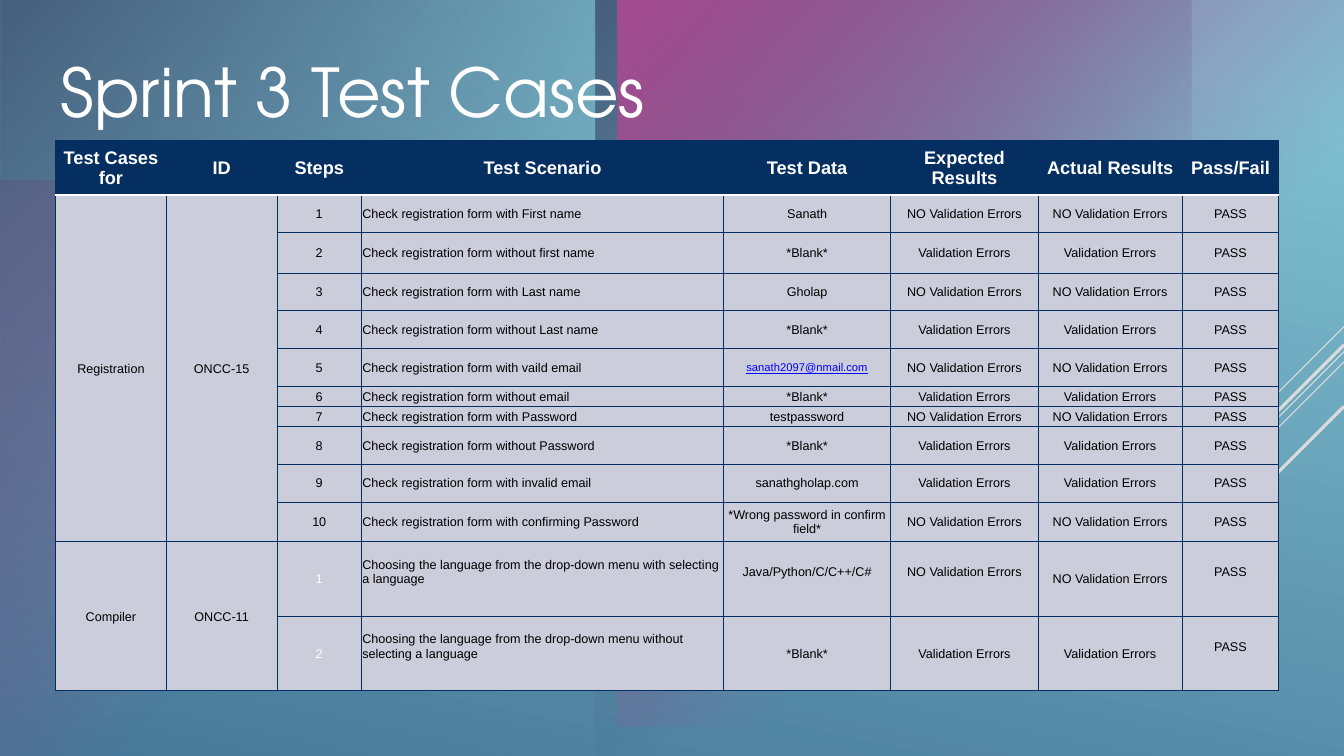
import lxml.etree
import pptx
import pptx.dml.color
import pptx.enum.shapes
import pptx.enum.text
import pptx.oxml
import pptx.oxml.ns
import pptx.util

Cm, Pt = pptx.util.Cm, pptx.util.Pt
SHAPE = pptx.enum.shapes.MSO_SHAPE
ALIGN = pptx.enum.text.PP_ALIGN
MIDDLE = pptx.enum.text.MSO_ANCHOR.MIDDLE
NS = pptx.oxml.ns.nsdecls("a")
WIDTH, HEIGHT = 33.87, 19.05
NAVY, PURPLE, TEAL, WHITE, BLACK = "052F61", "A50E82", "14967C", "FFFFFF", "000000"
BORDER, BODY, LINK = "032E61", "CBCDDB", "0000FF"
CORNER = '<a:path path="circle"><a:fillToRect r="100000" b="100000"/></a:path>'
EMAIL = "sanath2097@nmail.com"
HEADERS = ["Test Cases for", "ID", "Steps", "Test Scenario", "Test Data",
           "Expected Results", "Actual Results", "Pass/Fail"]
COLUMNS = [2.79, 2.79, 2.13, 9.12, 4.22, 3.71, 3.63, 2.44]
ROWS = [1.37, 0.95, 1.02, 0.94, 0.95, 0.95, 0.51, 0.51, 0.95, 0.95, 1, 1.88, 1.88]
ERRORS, NO_ERRORS = "Validation Errors", "NO Validation Errors"
REGISTRATION = [
    ("with First name", "Sanath", NO_ERRORS),
    ("without first name", "*Blank*", ERRORS),
    ("with Last name", "Gholap", NO_ERRORS),
    ("without Last name", "*Blank*", ERRORS),
    ("with vaild email", EMAIL, NO_ERRORS),
    ("without email", "*Blank*", ERRORS),
    ("with Password", "testpassword", NO_ERRORS),
    ("without Password", "*Blank*", ERRORS),
    ("with invalid email", "sanathgholap.com", ERRORS),
    ("with confirming Password", "*Wrong password in confirm field*", NO_ERRORS),
]
COMPILER = [
    ("with selecting a language", "Java/Python/C/C++/C#", NO_ERRORS),
    ("without selecting a language", "*Blank*", ERRORS),
]
GROUPS = [
    ("Registration", "ONCC-15", "Check registration form ", REGISTRATION),
    ("Compiler", "ONCC-11", "Choosing the language from the drop-down menu ", COMPILER),
]
RAISED = {(11, 3), (11, 4), (11, 5), (11, 7), (12, 3), (12, 7)}


def rgb(value):
    """Turn a hex string into a colour."""
    return pptx.dml.color.RGBColor.from_string(value)


def set_alpha(holder, percent):
    """Set the opacity of the solid fill below an element."""
    color = holder.find(".//" + pptx.oxml.ns.qn("a:srgbClr"))
    lxml.etree.SubElement(color, pptx.oxml.ns.qn("a:alpha"), val=str(percent * 1000))


def set_gradient(holder, stops, direction):
    """Replace the solid fill below an element by a gradient."""
    marks = "".join(
        f'<a:gs pos="{pos * 1000}"><a:srgbClr val="{color}">'
        f'<a:alpha val="{alpha * 1000}"/></a:srgbClr></a:gs>' for pos, color, alpha in stops)
    solid = holder.find(".//" + pptx.oxml.ns.qn("a:solidFill"))
    solid.getparent().replace(solid, pptx.oxml.parse_xml(
        f'<a:gradFill {NS} rotWithShape="1"><a:gsLst>{marks}</a:gsLst>{direction}</a:gradFill>'))


def add_plain(s, kind, x, y, w, h, color):
    """Add a shape with a solid fill, no line and no shadow."""
    sp = s.shapes.add_shape(kind, Cm(x), Cm(y), Cm(w), Cm(h))
    sp.shadow.inherit = False
    sp.fill.solid()
    sp.fill.fore_color.rgb = rgb(color)
    sp.line.fill.background()
    return sp


def add_glow(s, x, y, w, h, color, alpha=100, rotation=180, flips=("flipV",)):
    """Add a rectangle whose colour fades out from one corner."""
    sp = add_plain(s, SHAPE.RECTANGLE, x, y, w, h, color)
    sp.rotation = rotation
    for flip in flips:
        sp._element.spPr.xfrm.set(flip, "1")
    set_gradient(sp._element.spPr, [(0, color, alpha), (60, color, 0)], CORNER)


def add_soft_circle(s, x, y, size, alpha):
    """Add a translucent circle with a soft edge."""
    sp = add_plain(s, SHAPE.OVAL, x, y, size, size, TEAL)
    set_alpha(sp._element.spPr, alpha)
    effects = sp._element.spPr.find(pptx.oxml.ns.qn("a:effectLst"))
    lxml.etree.SubElement(effects, pptx.oxml.ns.qn("a:softEdge"), rad=str(Cm(3.53)))


def add_ray(s, y, reach, weight):
    """Add a diagonal line going down and left from the right edge."""
    line = s.shapes.add_connector(pptx.enum.shapes.MSO_CONNECTOR.STRAIGHT, Cm(WIDTH), Cm(y),
                                  Cm(WIDTH - reach), Cm(y + reach))
    line.line.color.rgb = rgb(WHITE)
    line.line.width = Pt(weight)
    lxml.etree.SubElement(line._element.spPr, pptx.oxml.ns.qn("a:effectLst"))


def add_backdrop(s):
    """Paint the background, the rays and the coloured areas."""
    s.background.fill.solid()
    s.background.fill.fore_color.rgb = rgb(NAVY)
    set_gradient(s._element.cSld, [(0, "66D3EE", 100), (10, "66D3EE", 100), (100, "06588E", 100)],
                 f'<a:lin ang="{102 * 60000}" scaled="0"/>')
    for y, reach, weight in [(8.23, 2.54, 0.75), (8.86, 8.28, 0.75), (9.12, 5.26, 0.75),
                             (8.69, 4.85, 2.25), (10.24, 3.53, 2.25)]:
        add_ray(s, y, reach, weight)
    add_glow(s, 0, 4.56, 14.49, 14.49, PURPLE, alpha=60, rotation=0)
    add_soft_circle(s, 15.98, 1.09, 11.99, 60)
    add_soft_circle(s, 0, 1.42, 17.63, 20)
    add_glow(s, 0, 0, 15.01, HEIGHT, NAVY)
    add_glow(s, 15.01, 0, 15.01, HEIGHT, NAVY, flips=("flipH", "flipV"))
    add_glow(s, 15.56, 0, 18.31, 18.31, PURPLE)
    veil = add_plain(s, SHAPE.RECTANGLE, 0, 0, WIDTH, HEIGHT, "A7A7A7")
    set_alpha(veil._element.spPr, 40)


def format_text(tf, font, size, color, align=ALIGN.LEFT, bold=False):
    """Format every run of a text frame."""
    for p in tf.paragraphs:
        p.alignment = align
        for r in p.runs:
            r.font.name, r.font.size, r.font.bold = font, Pt(size), bold
            r.font.color.rgb = rgb(color)


def set_borders(cell, row):
    """Draw the four borders of a cell, with a white rule under the header."""
    white_side = {0: "lnB", 1: "lnT"}.get(row)
    for i, side in enumerate(["lnL", "lnR", "lnT", "lnB"]):
        color, weight = (WHITE, 2) if side == white_side else (BORDER, 0.75)
        cell._tc.get_or_add_tcPr().insert(i, pptx.oxml.parse_xml(
            f'<a:{side} {NS} w="{Pt(weight)}"><a:solidFill><a:srgbClr val="{color}"/>'
            f'</a:solidFill></a:{side}>'))


def fill_cell(cell, row, col, text):
    """Write and format one cell of the test table."""
    header = row == 0
    cell.fill.solid()
    cell.fill.fore_color.rgb = rgb(NAVY if header else BODY)
    cell.vertical_anchor = MIDDLE
    cell.margin_left = cell.margin_right = cell.margin_top = Cm(0.02)
    cell.margin_bottom = Cm(0.37 if (row, col) in RAISED else 0)
    cell.text_frame.text = text
    pale_step = col == 2 and row > len(REGISTRATION)
    format_text(cell.text_frame, "Arial", 13 if header else 9,
                WHITE if header or pale_step else BLACK,
                ALIGN.LEFT if col == 3 and not header else ALIGN.CENTER, header)
    if text == EMAIL:
        format_text(cell.text_frame, "Arial", 8, LINK, ALIGN.CENTER)
        cell.text_frame.paragraphs[0].runs[0].font.underline = True
    set_borders(cell, row)


def add_test_table(s):
    """Add the table of test cases, with one merged block per group."""
    table = s.shapes.add_table(len(ROWS), len(COLUMNS), Cm(1.4), Cm(3.55),
                               Cm(sum(COLUMNS)), Cm(sum(ROWS))).table
    table.horz_banding = False
    for column, width in zip(table.columns, COLUMNS):
        column.width = Cm(width)
    for row, height in zip(table.rows, ROWS):
        row.height = Cm(height)
    lines = [HEADERS]
    for name, code, opening, cases in GROUPS:
        first, last = len(lines), len(lines) + len(cases) - 1
        for step, (ending, data, result) in enumerate(cases, 1):
            owner = [name, code] if step == 1 else ["", ""]
            lines.append(owner + [str(step), opening + ending, data, result, result, "PASS"])
        for col in (0, 1):
            table.cell(first, col).merge(table.cell(last, col))
    for row, texts in enumerate(lines):
        for col, text in enumerate(texts):
            fill_cell(table.cell(row, col), row, col, text)


def add_title(s, text):
    """Add the slide title."""
    tf = s.shapes.add_textbox(Cm(1.4), Cm(1.02), Cm(30.84), Cm(2.51)).text_frame
    tf.word_wrap = True
    tf.vertical_anchor = MIDDLE
    tf.margin_left = tf.margin_right = tf.margin_top = tf.margin_bottom = Cm(0.13)
    tf.text = text
    format_text(tf, "TeX Gyre Adventor", 48, WHITE)


def main():
    """Build the slide and save it."""
    prs = pptx.Presentation()
    prs.slide_width, prs.slide_height = Cm(WIDTH), Cm(HEIGHT)
    s = prs.slides.add_slide(prs.slide_layouts[6])
    add_backdrop(s)
    add_test_table(s)
    add_title(s, "Sprint 3 Test Cases")
    prs.save("out.pptx")


if __name__ == "__main__":
    main()
